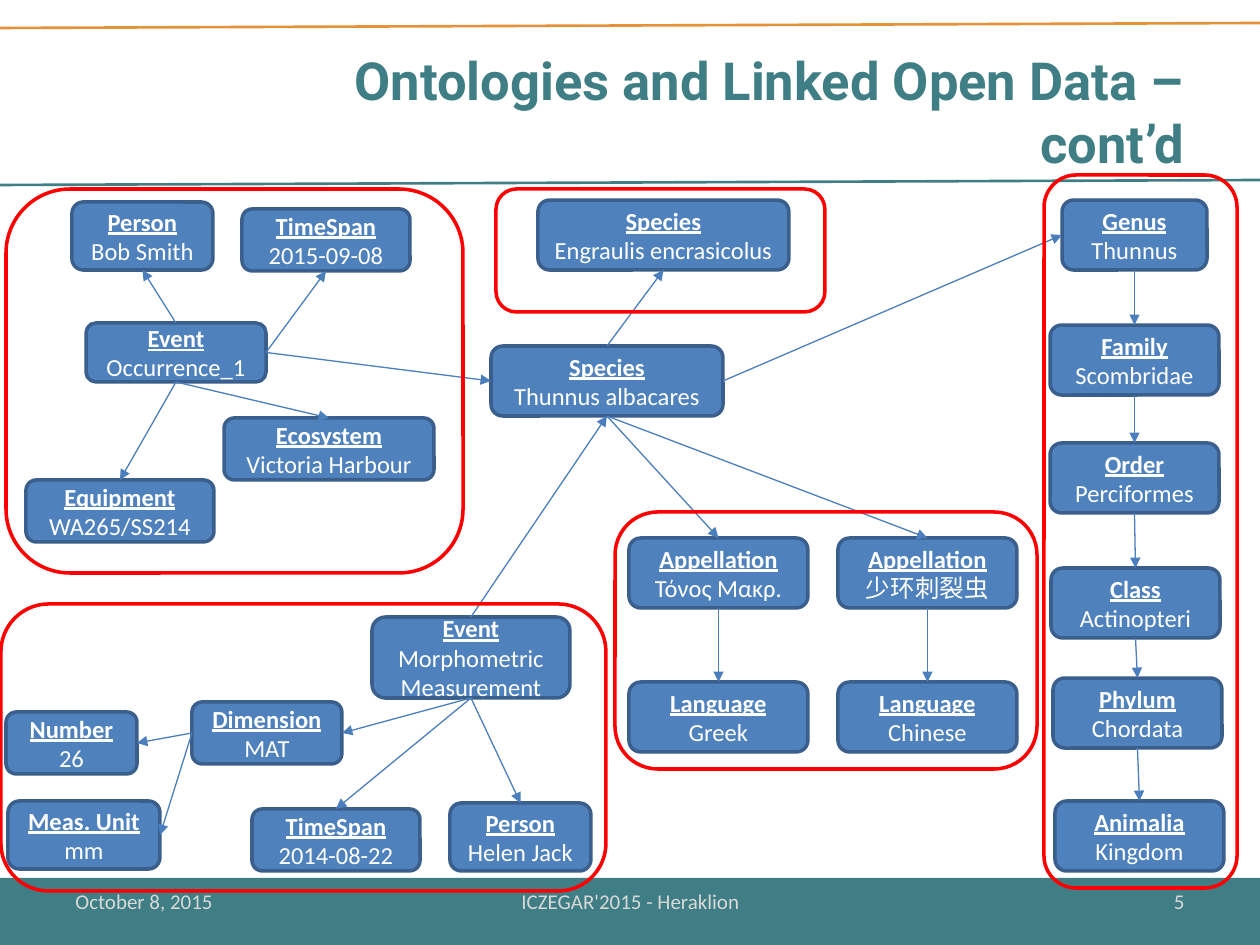
"""Build a slide of linked species, event and taxonomy entities."""
from lxml import etree
from pptx import Presentation
from pptx.dml.color import RGBColor
from pptx.enum.shapes import MSO_CONNECTOR, MSO_SHAPE
from pptx.enum.text import MSO_ANCHOR, MSO_AUTO_SIZE, PP_ALIGN
from pptx.oxml.ns import qn
from pptx.util import Pt

STRAIGHT = MSO_CONNECTOR.STRAIGHT
RECT, ROUNDED = MSO_SHAPE.RECTANGLE, MSO_SHAPE.ROUNDED_RECTANGLE
LEFT, CENTER, RIGHT = PP_ALIGN.LEFT, PP_ALIGN.CENTER, PP_ALIGN.RIGHT
MIDDLE, NO_FIT = MSO_ANCHOR.MIDDLE, MSO_AUTO_SIZE.NONE
TOP_SIDE, LEFT_SIDE, BOTTOM_SIDE, RIGHT_SIDE = range(4)
SCALE = 914400 / 126
COLORS = {
    "teal": "3F7E84", "orange": "E69138", "node": "4F81BD", "edge": "3A5F8C",
    "arrow": "4B7EBC", "frame": "FF0000", "footer": "D9D9D9", "white": "FFFFFF",
}
RGB = {name: RGBColor.from_string(value) for name, value in COLORS.items()}


def emu(*lengths):
    return [round(length * SCALE) for length in lengths]


def write(frame, text, size=14, font="Calibri", color="white", align=CENTER,
          bold=False, headed=False):
    frame.word_wrap = True
    frame.auto_size = NO_FIT
    frame.vertical_anchor = MIDDLE
    frame.text = text
    for index, paragraph in enumerate(frame.paragraphs):
        heading = headed and index == 0
        paragraph.alignment = align
        style = paragraph.runs[0].font
        style.name, style.size = font, Pt(size)
        style.bold, style.underline = bold or heading, heading
        style.color.rgb = RGB[color]


prs = Presentation()
prs.slide_width, prs.slide_height = emu(1260, 945)
slide = prs.slides.add_slide(prs.slide_layouts[5])
shapes = slide.shapes

title = shapes.title
title.left, title.top, title.width, title.height = emu(192, 38, 1005, 146)
write(title.text_frame, "Ontologies and Linked Open Data – cont’d", size=30,
      font="Roboto", color="teal", align=RIGHT, bold=True)

footer_band = shapes.add_shape(RECT, *emu(-3, 878, 1268, 74))
footer_band.shadow.inherit = False
footer_band.fill.solid()
footer_band.fill.fore_color.rgb = RGB["teal"]
footer_band.line.fill.background()

lines = []
for color, start, end in [("orange", 28, 23), ("teal", 185, 180)]:
    rule = shapes.add_connector(STRAIGHT, *emu(0, start, 1265, end))
    lines.append((rule, color, 1.5))

entities = {
    "tuna": ("Species\nThunnus albacares", 491, 346, 232, 70),
    "anchovy": ("Species\nEngraulis encrasicolus", 538, 200, 251, 70),
    "genus": ("Genus\nThunnus", 1062, 200, 145, 70),
    "family": ("Family\nScombridae", 1050, 325, 169, 70),
    "order": ("Order\nPerciformes", 1050, 443, 169, 70),
    "class": ("Class\nActinopteri", 1051, 568, 169, 70),
    "phylum": ("Phylum\nChordata", 1053, 678, 169, 70),
    "kingdom": ("Animalia\nKingdom", 1055, 801, 169, 70),
    "occurrence": ("Event\nOccurrence_1", 86, 323, 180, 59),
    "observer": ("Person\nBob Smith", 72, 202, 141, 68),
    "sighting date": ("TimeSpan\n2015-09-08", 242, 209, 168, 62),
    "ecosystem": ("Ecosystem\nVictoria Harbour", 224, 418, 210, 62),
    "equipment": ("Equipment\nWA265/SS214", 26, 480, 188, 62),
    "greek name": ("Appellation\nΤόνος Μακρ.", 629, 538, 179, 70),
    "greek": ("Language\nGreek", 629, 682, 179, 70),
    "chinese name": ("Appellation\n少环刺裂虫", 838, 538, 179, 70),
    "chinese": ("Language\nChinese", 838, 682, 179, 70),
    "measurement": ("Event\nMorphometric Measurement", 372, 617, 198, 81),
    "measuring date": ("TimeSpan\n2014-08-22", 252, 809, 168, 62),
    "measurer": ("Person\nHelen Jack", 450, 803, 141, 68),
    "number": ("Number\n26", 6, 712, 131, 62),
    "unit": ("Meas. Unit\nmm", 8, 801, 152, 68),
    "dimension": ("Dimension\nMAT", 192, 702, 150, 62),
}
nodes = {}
for key, (text, *box) in entities.items():
    node = nodes[key] = shapes.add_shape(ROUNDED, *emu(*box))
    node.shadow.inherit = False
    node.fill.solid()
    node.fill.fore_color.rgb = RGB["node"]
    node.line.color.rgb = RGB["edge"]
    node.line.width = Pt(2)
    write(node.text_frame, text, headed=True)

links = [
    ("tuna", RIGHT_SIDE, "genus", LEFT_SIDE),
    ("tuna", TOP_SIDE, "anchovy", BOTTOM_SIDE),
    ("tuna", BOTTOM_SIDE, "greek name", TOP_SIDE),
    ("tuna", BOTTOM_SIDE, "chinese name", TOP_SIDE),
    ("greek name", BOTTOM_SIDE, "greek", TOP_SIDE),
    ("chinese name", BOTTOM_SIDE, "chinese", TOP_SIDE),
    ("occurrence", TOP_SIDE, "observer", BOTTOM_SIDE),
    ("occurrence", RIGHT_SIDE, "sighting date", BOTTOM_SIDE),
    ("occurrence", RIGHT_SIDE, "tuna", LEFT_SIDE),
    ("occurrence", BOTTOM_SIDE, "ecosystem", TOP_SIDE),
    ("occurrence", BOTTOM_SIDE, "equipment", TOP_SIDE),
    ("measurement", TOP_SIDE, "tuna", BOTTOM_SIDE),
    ("measurement", BOTTOM_SIDE, "measurer", TOP_SIDE),
    ("measurement", BOTTOM_SIDE, "measuring date", TOP_SIDE),
    ("measurement", BOTTOM_SIDE, "dimension", RIGHT_SIDE),
    ("dimension", LEFT_SIDE, "number", RIGHT_SIDE),
    ("dimension", LEFT_SIDE, "unit", RIGHT_SIDE),
]
ranks = ["genus", "family", "order", "class", "phylum", "kingdom"]
links += [(lower, BOTTOM_SIDE, higher, TOP_SIDE)
          for lower, higher in zip(ranks, ranks[1:])]
for source, source_side, target, target_side in links:
    arrow = shapes.add_connector(STRAIGHT, 0, 0, 0, 0)
    arrow.begin_connect(nodes[source], source_side)
    arrow.end_connect(nodes[target], target_side)
    lines.append((arrow, "arrow", 0.75))

for line, color, width in lines:
    line.line.color.rgb = RGB[color]
    line.line.width = Pt(width)
    properties = line._element.spPr
    if color == "arrow":
        etree.SubElement(properties.find(qn("a:ln")), qn("a:tailEnd"), type="triangle")
    etree.SubElement(properties, qn("a:effectLst"))

group_boxes = [
    (615, 512, 422, 257), (496, 189, 329, 123), (1044, 175, 193, 713),
    (6, 189, 457, 384), (1, 604, 605, 287),
]
for box in group_boxes:
    group_frame = shapes.add_shape(ROUNDED, *emu(*box))
    group_frame.shadow.inherit = False
    group_frame.fill.background()
    group_frame.line.color.rgb = RGB["frame"]
    group_frame.line.width = Pt(2)

footers = [
    ("October 8, 2015", 63, 294, LEFT),
    ("ICZEGAR'2015 - Heraklion", 431, 399, CENTER),
    ("5", 903, 294, RIGHT),
]
for text, left, width, align in footers:
    footer = shapes.add_textbox(*emu(left, 876, width, 50))
    write(footer.text_frame, text, size=12, color="footer", align=align)

prs.save("out.pptx")
